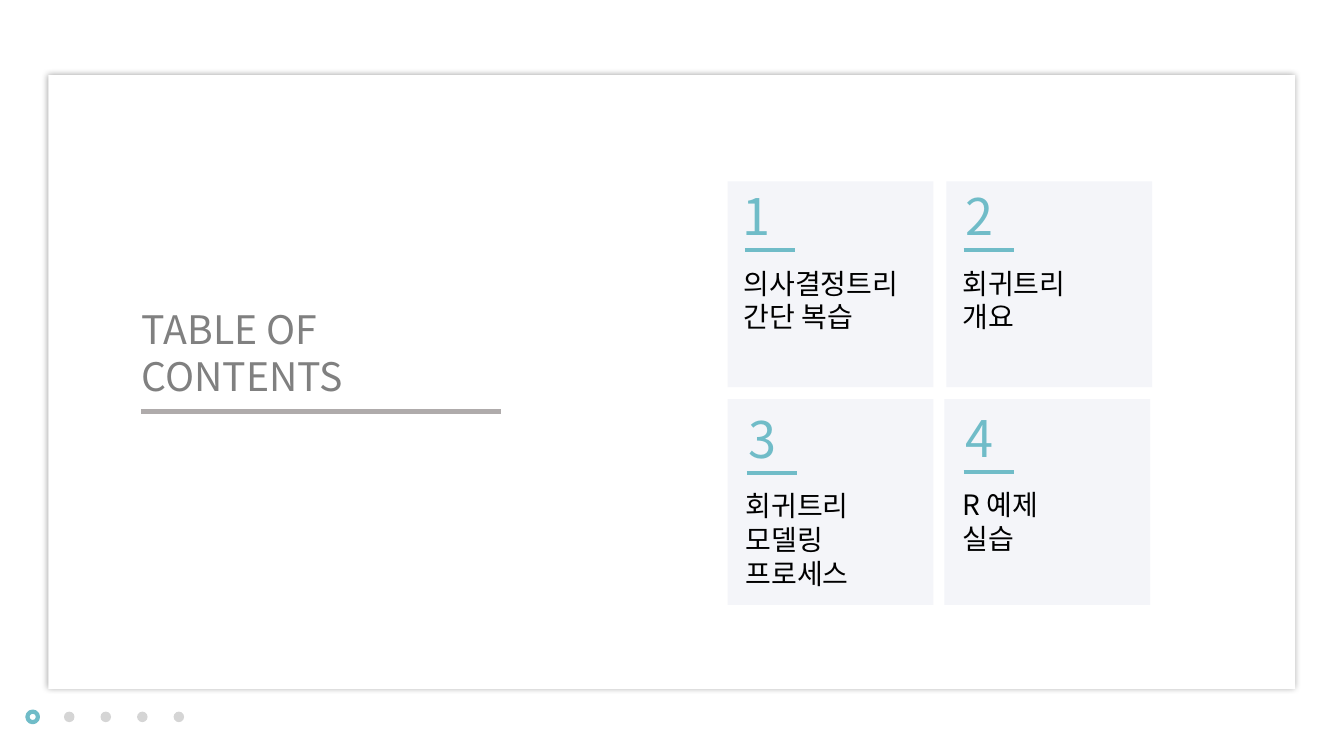
from lxml.etree import SubElement
from pptx import Presentation
from pptx.dml.color import RGBColor
from pptx.enum.shapes import MSO_CONNECTOR, MSO_SHAPE
from pptx.enum.text import MSO_ANCHOR, PP_ALIGN
from pptx.oxml.ns import qn
from pptx.util import Pt

FONT = "Noto Sans CJK KR"
COLORS = {
    "white": "FFFFFF",
    "shadow": "000000",
    "title": "808080",
    "title_rule": "AFABAB",
    "accent": "70BCC8",
    "dot": "D5D5D5",
    "card": "F4F5F9",
    "label": "000000",
}
CARD_SIZE = 147
CARDS = [
    ("1", "의사결정트리\n간단 복습", (519.8, 129.6), (532.1, 178.6), 523.5),
    ("2", "회귀트리\v개요", (676.1, 129.6), (688.3, 178.6), 682.5),
    ("3", "회귀트리\n모델링\v프로세스", (519.8, 285.1), (533.5, 337.7), 527.8),
    ("4", "R 예제\v실습", (674.6, 285.1), (688.3, 337), 682.5),
]


def color(name):
    return RGBColor.from_string(COLORS[name])


def add_block(slide, kind, left, top, width, height, fill):
    block = slide.shapes.add_shape(kind, Pt(left), Pt(top), Pt(width), Pt(height))
    block.shadow.inherit = False
    block.line.fill.background()
    if fill:
        block.fill.solid()
        block.fill.fore_color.rgb = color(fill)
    else:
        block.fill.background()
    return block


def add_glow_shadow(block, blur, opacity):
    effects = block._element.spPr.find(qn("a:effectLst"))
    shadow = SubElement(effects, qn("a:outerShdw"), blurRad=str(Pt(blur)),
                        dist="0", dir="0", algn="ctr", rotWithShape="0")
    tint = SubElement(shadow, qn("a:srgbClr"), val=COLORS["shadow"])
    SubElement(tint, qn("a:alpha"), val=str(opacity * 1000))


def add_rule(slide, left, top, length, weight, tint):
    rule = slide.shapes.add_connector(
        MSO_CONNECTOR.STRAIGHT, Pt(left), Pt(top), Pt(left + length), Pt(top))
    rule.line.width = Pt(weight)
    rule.line.color.rgb = color(tint)
    SubElement(rule._element.spPr, qn("a:effectLst"))


def add_text(slide, text, left, top, width, height, size, tint):
    frame = slide.shapes.add_textbox(Pt(left), Pt(top), Pt(width), Pt(height)).text_frame
    frame.word_wrap = True
    frame.vertical_anchor = MSO_ANCHOR.TOP
    frame.text = text
    for paragraph in frame.paragraphs:
        paragraph.alignment = PP_ALIGN.LEFT
        paragraph.font.size = Pt(size)
        paragraph.font.name = FONT
        paragraph.font.color.rgb = color(tint)
        for run in paragraph.runs:
            SubElement(run._r.get_or_add_rPr(), qn("a:ea"), typeface=FONT)


def add_card(slide, number, label, corner, rule_start, number_left):
    rule_left, rule_top = rule_start
    add_block(slide, MSO_SHAPE.RECTANGLE, *corner, CARD_SIZE, CARD_SIZE, "card")
    add_text(slide, number, number_left, rule_top - 50, 37.4, 51, 36, "accent")
    add_rule(slide, rule_left, rule_top, 36, 3, "accent")
    add_text(slide, label, rule_left - 8, rule_top + 8, 130, 55.4, 20, "label")


def add_page_dots(slide, count):
    for index in range(count):
        current = index == 0
        dot = add_block(slide, MSO_SHAPE.OVAL, 19.6 + 26.1 * index, 508.3, 7.5, 7.5,
                        None if current else "dot")
        if current:
            dot.line.width = Pt(3)
            dot.line.color.rgb = color("accent")


def main():
    presentation = Presentation()
    presentation.slide_width = Pt(960)
    presentation.slide_height = Pt(540)
    slide = presentation.slides.add_slide(presentation.slide_layouts[6])

    panel = add_block(slide, MSO_SHAPE.RECTANGLE, 34.6, 53.6, 890.6, 438.5, "white")
    add_glow_shadow(panel, 5, 37)
    add_text(slide, "TABLE OF\nCONTENTS", 94.3, 214.6, 180, 74.9, 28, "title")
    add_rule(slide, 100.6, 293.8, 257, 3.25, "title_rule")
    add_page_dots(slide, 5)
    for card in CARDS:
        add_card(slide, *card)

    presentation.save("out.pptx")


if __name__ == "__main__":
    main()
